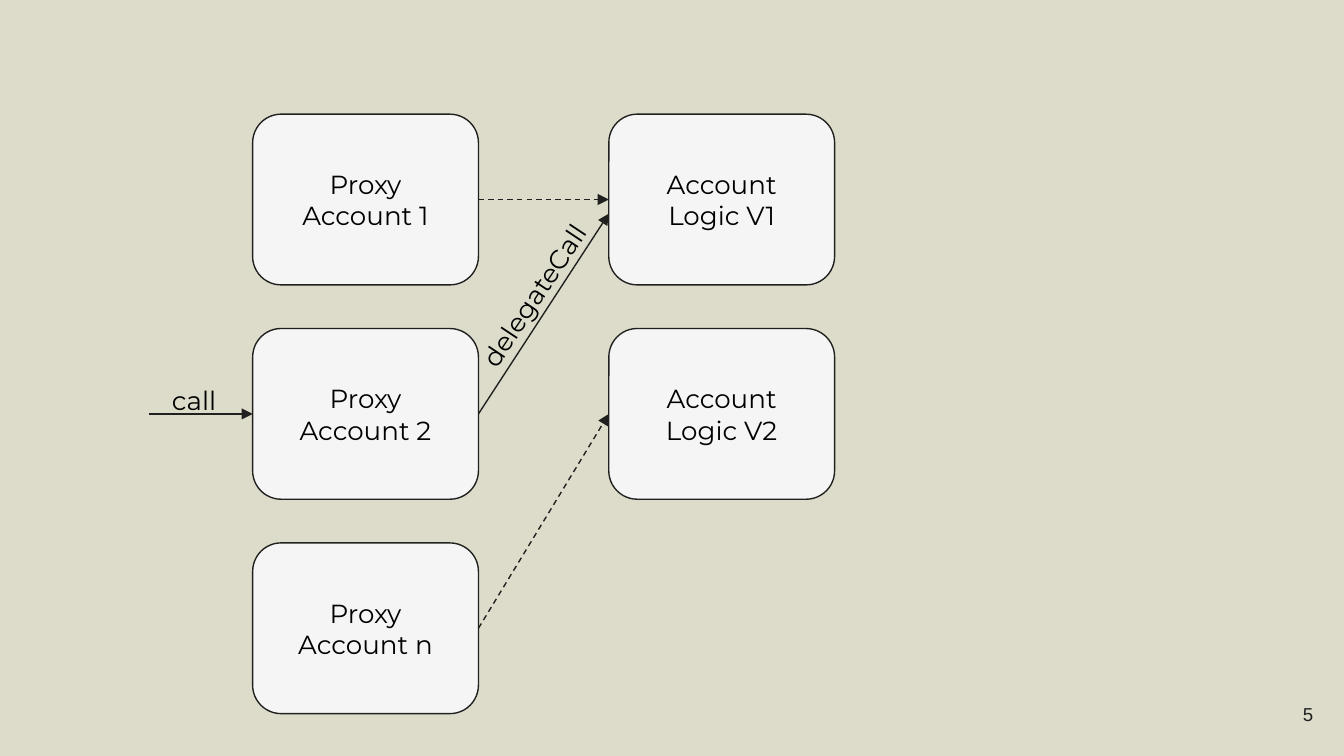
from dataclasses import dataclass
from typing import Any, Optional

import lxml.etree
import pptx
import pptx.dml.color
import pptx.enum.dml
import pptx.enum.shapes
import pptx.enum.text
import pptx.oxml.ns
import pptx.util

PX = 4572
INK = "20211F"
BLACK = "000000"
PAPER = "F5F5F5"
BACKGROUND = "DDDCCA"

BOX_WIDTH, BOX_HEIGHT = 336, 254
GRID_LEFT, GRID_TOP = 376, 170
COLUMN_STEP, ROW_STEP = 530, 319
LEFT_SIDE, RIGHT_SIDE = 1, 3

ALIGN = pptx.enum.text.PP_ALIGN
ANCHOR = pptx.enum.text.MSO_ANCHOR


@dataclass(frozen=True)
class Node:
    text: str
    column: int
    row: int

    @property
    def left(self) -> int:
        return GRID_LEFT + self.column * COLUMN_STEP

    @property
    def top(self) -> int:
        return GRID_TOP + self.row * ROW_STEP

    @property
    def middle(self) -> int:
        return self.top + BOX_HEIGHT // 2


@dataclass(frozen=True)
class Arrow:
    start: tuple[int, int]
    end: tuple[int, int]
    source: Optional[Node] = None
    target: Optional[Node] = None
    dashed: bool = False


@dataclass(frozen=True)
class Label:
    text: str
    frame: tuple[int, int, int, int]
    align: Any
    rotation: float = 0
    size: int = 14
    font: str = "Montserrat"
    color: str = BLACK
    wrap: bool = False
    anchor: Any = ANCHOR.TOP
    vertical_inset: int = 10


PROXY_1 = Node("Proxy Account 1", 0, 0)
PROXY_2 = Node("Proxy Account 2", 0, 1)
PROXY_N = Node("Proxy Account n", 0, 2)
LOGIC_1 = Node("Account Logic V1", 1, 0)
LOGIC_2 = Node("Account Logic V2", 1, 1)
NODES = [PROXY_1, PROXY_2, PROXY_N, LOGIC_1, LOGIC_2]


def link(source: Node, target: Node) -> Arrow:
    start = (source.left + BOX_WIDTH, source.middle)
    return Arrow(start, (target.left, target.middle), source, target, dashed=True)


ARROWS = [
    Arrow((222, PROXY_2.middle), (PROXY_2.left, PROXY_2.middle), target=PROXY_2),
    Arrow((PROXY_2.left + BOX_WIDTH, PROXY_2.middle), (LOGIC_1.left, 318), source=PROXY_2),
    link(PROXY_1, LOGIC_1),
    link(PROXY_N, LOGIC_2),
]

LABELS = [
    Label("5", (1854, 1020, 120, 86), ALIGN.RIGHT, size=10, font="Arial", color=INK,
          wrap=True, anchor=ANCHOR.MIDDLE, vertical_inset=20),
    Label("call", (236, 562, 110, 68), ALIGN.LEFT),
    Label("delegateCall", (648, 406, 294, 68), ALIGN.CENTER, rotation=303.7),
]


def px(value: int) -> int:
    return pptx.util.Emu(value * PX)


def rgb(color: str) -> pptx.dml.color.RGBColor:
    return pptx.dml.color.RGBColor.from_string(color)


def set_all(target: Any, values: dict[str, Any]) -> None:
    for name, value in values.items():
        setattr(target, name, value)


def write(shape: Any, text: str, align: Any, anchor: Any, wrap: bool = True,
          vertical_inset: int = 20, size: int = 14, font: str = "Montserrat",
          color: str = BLACK) -> None:
    set_all(shape.text_frame, {
        "word_wrap": wrap,
        "vertical_anchor": anchor,
        "margin_left": px(20),
        "margin_right": px(20),
        "margin_top": px(vertical_inset),
        "margin_bottom": px(vertical_inset),
    })
    para = shape.text_frame.paragraphs[0]
    para.alignment = align
    span = para.add_run()
    span.text = text
    set_all(span.font, {"size": pptx.util.Pt(size), "name": font})
    span.font.color.rgb = rgb(color)


def draw_outline(line: Any) -> None:
    line.color.rgb = rgb(INK)
    line.width = pptx.util.Pt(0.75)


def draw_node(page: Any, node: Node) -> Any:
    box = page.shapes.add_shape(
        pptx.enum.shapes.MSO_SHAPE.ROUNDED_RECTANGLE,
        px(node.left), px(node.top), px(BOX_WIDTH), px(BOX_HEIGHT))
    box.shadow.inherit = False
    box.fill.solid()
    box.fill.fore_color.rgb = rgb(PAPER)
    draw_outline(box.line)
    write(box, node.text, ALIGN.CENTER, ANCHOR.MIDDLE)
    return box


def draw_arrow(page: Any, arrow: Arrow, boxes: dict[Node, Any]) -> None:
    connector = page.shapes.add_connector(
        pptx.enum.shapes.MSO_CONNECTOR.STRAIGHT, *map(px, arrow.start + arrow.end))
    if arrow.source:
        connector.begin_connect(boxes[arrow.source], RIGHT_SIDE)
    if arrow.target:
        connector.end_connect(boxes[arrow.target], LEFT_SIDE)
    draw_outline(connector.line)
    if arrow.dashed:
        connector.line.dash_style = pptx.enum.dml.MSO_LINE.DASH
    properties = connector.element.spPr
    outline = properties.find(pptx.oxml.ns.qn("a:ln"))
    lxml.etree.SubElement(outline, pptx.oxml.ns.qn("a:tailEnd"), type="triangle")
    lxml.etree.SubElement(properties, pptx.oxml.ns.qn("a:effectLst"))


def draw_label(page: Any, label: Label) -> None:
    box = page.shapes.add_textbox(*map(px, label.frame))
    box.rotation = label.rotation
    write(box, label.text, label.align, label.anchor, label.wrap,
          label.vertical_inset, label.size, label.font, label.color)


def main() -> None:
    deck = pptx.Presentation()
    set_all(deck, {"slide_width": px(2000), "slide_height": px(1125)})
    page = deck.slides.add_slide(deck.slide_layouts[6])
    page.background.fill.solid()
    page.background.fill.fore_color.rgb = rgb(BACKGROUND)
    boxes = {node: draw_node(page, node) for node in NODES}
    for arrow in ARROWS:
        draw_arrow(page, arrow, boxes)
    for label in LABELS:
        draw_label(page, label)
    deck.save("out.pptx")


if __name__ == "__main__":
    main()
